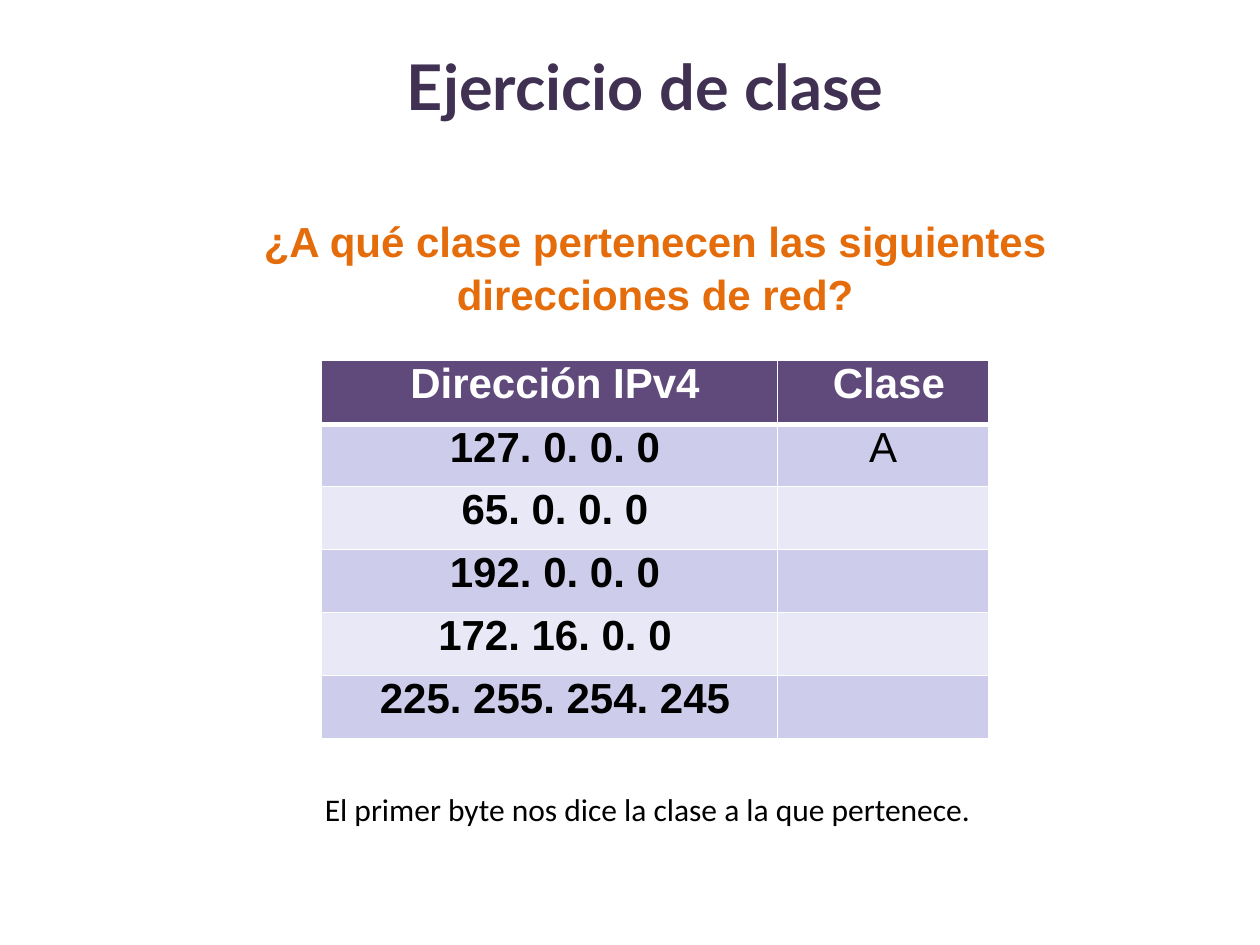
from pptx import Presentation
from pptx.dml.color import RGBColor
from pptx.enum.text import MSO_ANCHOR, PP_ALIGN
from pptx.oxml import parse_xml
from pptx.oxml.ns import nsdecls
from pptx.util import Inches, Pt

WHITE = RGBColor(0xFF, 0xFF, 0xFF)
BLACK = RGBColor(0, 0, 0)
ORANGE = RGBColor(0xE4, 0x6C, 0x0A)
PLUM = RGBColor(0x40, 0x31, 0x52)
PURPLE = RGBColor(0x60, 0x4A, 0x7B)
LILAC = RGBColor(0xCD, 0xCD, 0xEB)
PALE = RGBColor(0xE8, 0xE8, 0xF6)


def write(frame, text, face, size, color, bold=False, align=PP_ALIGN.CENTER):
    frame.word_wrap = True
    frame.text = text
    para = frame.paragraphs[0]
    para.alignment = align
    font = para.runs[0].font
    font.name, font.size, font.bold = face, Pt(size), bold
    font.color.rgb = color
    return para


def border(cell, side, width):
    cell._tc.get_or_add_tcPr().append(parse_xml(
        f'<a:{side} {nsdecls("a")} w="{Pt(width)}"><a:solidFill>'
        f'<a:srgbClr val="{WHITE}"/></a:solidFill></a:{side}>'))


prs = Presentation()
prs.slide_width, prs.slide_height = Inches(10), Inches(7.5)
slide = prs.slides.add_slide(prs.slide_layouts[6])
shapes = slide.shapes

# Question
box = shapes.add_textbox(Inches(2.01), Inches(1.69), Inches(6.38), Inches(0.81))
frame = box.text_frame
frame.margin_left = frame.margin_right = frame.margin_top = frame.margin_bottom = 0
para = write(frame, "¿A qué clase pertenecen las siguientes direcciones de red?",
             "Arial", 24, ORANGE, True)
para.line_spacing = 1.05

# Table of addresses
rows = [
    ("Dirección IPv4", "Clase"),
    ("127. 0. 0. 0", "A"),
    ("65. 0. 0. 0", ""),
    ("192. 0. 0. 0", ""),
    ("172. 16. 0. 0", ""),
    ("225. 255. 254. 245", ""),
]
table = shapes.add_table(len(rows), 2, Inches(2.55), Inches(2.86),
                         Inches(5.3), Inches(3)).table
table.columns[0].width, table.columns[1].width = Inches(3.62), Inches(1.68)
table.rows[0].height, table.rows[1].height = Inches(0.51), Inches(0.49)

for r, row in enumerate(rows):
    for c, text in enumerate(row):
        cell = table.cell(r, c)
        if text:
            cell.margin_left = cell.margin_right = 0
            cell.margin_top = cell.margin_bottom = 0
            para = write(cell.text_frame, text, "Arial", 24,
                         BLACK if r else WHITE, r == 0 or c == 0)
            if r == 0 or c == 0:
                para._p.get_or_add_pPr().set("marL", str(Inches(0.09)))
        # Borders come before the fill; the header rule is thicker
        border(cell, "lnL", 1)
        border(cell, "lnR", 1)
        border(cell, "lnT", 3 if r == 1 else 1)
        border(cell, "lnB", 3 if r == 0 else 1)
        cell.fill.solid()
        cell.fill.fore_color.rgb = PURPLE if r == 0 else LILAC if r % 2 else PALE

# Title
box = shapes.add_textbox(Inches(0.16), Inches(0.05), Inches(9.8), Inches(1.25))
box.text_frame.vertical_anchor = MSO_ANCHOR.MIDDLE
write(box.text_frame, " Ejercicio de clase", "Lato", 36, PLUM, True)

# Hint
box = shapes.add_textbox(Inches(2.48), Inches(6.22), Inches(6.46), Inches(0.4))
write(box.text_frame, "El primer byte nos dice la clase a la que pertenece.",
      "Calibri", 18, BLACK, align=PP_ALIGN.LEFT)

prs.save("out.pptx")
